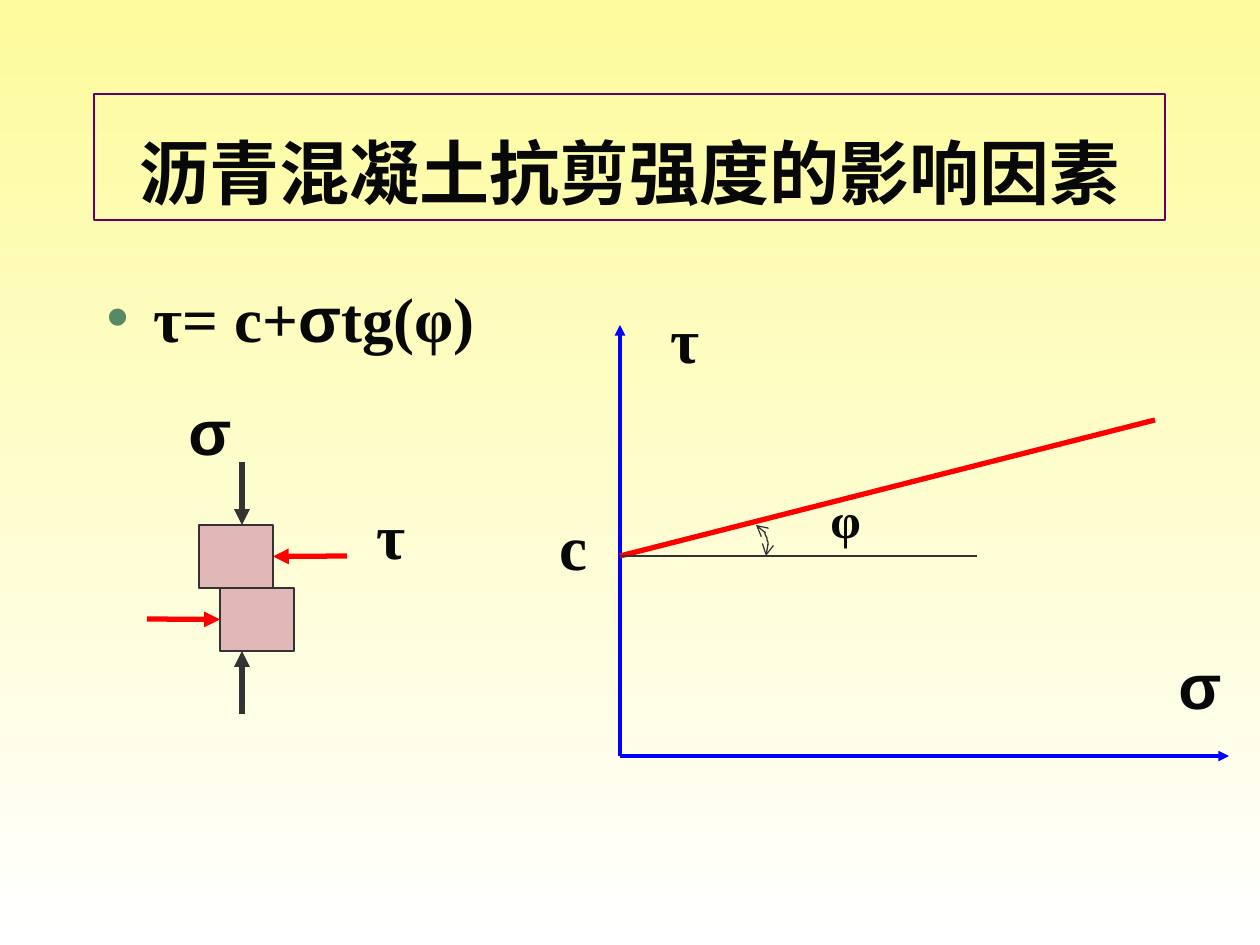
from lxml.etree import SubElement as Sub
from pptx import Presentation
from pptx.dml.color import RGBColor
from pptx.enum.shapes import MSO_CONNECTOR as Conn, MSO_SHAPE as Kind
from pptx.enum.text import MSO_ANCHOR as Anchor, MSO_AUTO_SIZE as Fit, PP_ALIGN as Align
from pptx.oxml.ns import qn
from pptx.util import Pt

PX = 914400 / 126
HEX = {"top": "FDFB9B", "end": "FFFFFF", "text": "080808", "frame": "660066", "dot": "578963",
       "axis": "0000FF", "red": "FF0000", "dark": "333333", "block": "E1B7B7"}
SERIF, SANS = "Times New Roman", "Arial"

TITLE = "沥青混凝土抗剪强度的影响因素"
FORMULA = [("τ= c+", SERIF), ("σ", SANS), ("tg(φ)", SERIF)]
LABELS = [
    ("σ", SANS, 36, (176, 386, 63, 88)),
    ("τ", SERIF, 36, (364, 490, 54, 88)),
    ("φ", SERIF, 28, (818, 483, 55, 72)),
    ("c", SERIF, 36, (547, 501, 53, 88)),
    ("σ", SANS, 36, (1166, 640, 63, 88)),
    ("τ", SERIF, 36, (658, 294, 54, 88)),
]
BLOCKS = {"upper": (199, 525, 74, 63), "lower": (220, 588, 74, 63)}
LINES = [
    ((620, 756), (620, 325), "axis", 2, True, None),
    ((620, 756), (1229, 756), "axis", 2, True, None),
    ((620, 556), (1155, 420), "red", 3, False, None),
    ((347, 556), (273, 556), "red", 3, True, ("upper", 3)),
    ((147, 619), (220, 619), "red", 3, True, ("lower", 1)),
    ((242, 462), (242, 525), "dark", 3, True, None),
    ((242, 714), (242, 651), "dark", 3, True, None),
    ((620, 556), (977, 556), "dark", 0.75, False, None),
]
ARC = [((756, 525), (760, 528), (765, 530), (766, 536)),
       ((766, 536), (769, 541), (767, 548), (766, 556))]
STEPS = 8


def emu(*nums):
    return [round(n * PX) for n in nums]


def rgb(name):
    return RGBColor.from_string(HEX[name])


def place(shape, box):
    for key, val in zip(("left", "top", "width", "height"), emu(*box)):
        setattr(shape, key, val)


def write(para, text, face, size):
    run = para.add_run()
    run.text = text
    for key, val in {"name": face, "size": Pt(size), "bold": True}.items():
        setattr(run.font, key, val)
    run.font.color.rgb = rgb("text")


def stroke(shape, color, width, ends=(), kind="triangle"):
    shape.line.color.rgb = rgb(color)
    shape.line.width = Pt(width)
    for end in ends:
        Sub(shape.line._get_or_add_ln(), qn(f"a:{end}"), type=kind)


def curve(a, b, c, d):
    for i in range(1, STEPS + 1):
        t = i / STEPS
        u = 1 - t
        yield tuple(u**3 * p + 3 * u * u * t * q + 3 * u * t * t * r + t**3 * s
                    for p, q, r, s in zip(a, b, c, d))


deck = Presentation()
deck.slide_width, deck.slide_height = emu(1260, 945)
slide = deck.slides.add_slide(deck.slide_layouts[1])
shapes = slide.shapes

back = slide.background.fill
back.gradient()
back.gradient_angle = 270
for stop, name, pos in zip(back.gradient_stops, ("top", "end"), (0, 1)):
    stop.color.rgb = rgb(name)
    stop.position = pos

title, body = shapes.title, slide.placeholders[1]
place(title, (94, 94, 1071, 126))
stroke(title, "frame", 0.75)
title.text_frame.auto_size = Fit.NONE
title.text_frame.vertical_anchor = Anchor.BOTTOM
head = title.text_frame.paragraphs[0]
head.alignment = Align.CENTER
write(head, TITLE, SERIF, 40)

place(body, (94, 273, 1071, 567))
body.text_frame.auto_size = Fit.NONE
item = body.text_frame.paragraphs[0]
item.space_before = Pt(0)
props = item._p.get_or_add_pPr()
indent = emu(47)[0]
props.set("marL", str(indent))
props.set("indent", str(-indent))
Sub(Sub(props, qn("a:buClr")), qn("a:srgbClr"), val=HEX["dot"])
Sub(props, qn("a:buChar"), char="•")
for text, face in FORMULA:
    write(item, text, face, 36)

blocks = {}
for name, box in BLOCKS.items():
    block = blocks[name] = shapes.add_shape(Kind.RECTANGLE, *emu(*box))
    block.shadow.inherit = False
    block.fill.solid()
    block.fill.fore_color.rgb = rgb("block")
    stroke(block, "dark", 0.75)

for start, stop, color, width, arrow, joint in LINES:
    line = shapes.add_connector(Conn.STRAIGHT, *emu(*start, *stop))
    stroke(line, color, width, ["tailEnd"] if arrow else [])
    Sub(line._element.spPr, qn("a:effectLst"))
    if joint:
        line.end_connect(blocks[joint[0]], joint[1])

pen = shapes.build_freeform(*ARC[0][0], scale=PX)
pen.add_line_segments([spot for part in ARC for spot in curve(*part)], close=False)
angle = pen.convert_to_shape()
angle.shadow.inherit = False
angle.fill.background()
stroke(angle, "dark", 0.75, ("headEnd", "tailEnd"), "arrow")

for text, face, size, box in LABELS:
    frame = shapes.add_textbox(*emu(*box)).text_frame
    frame.word_wrap = False
    frame.auto_size = Fit.SHAPE_TO_FIT_TEXT
    write(frame.paragraphs[0], text, face, size)

deck.save("out.pptx")
